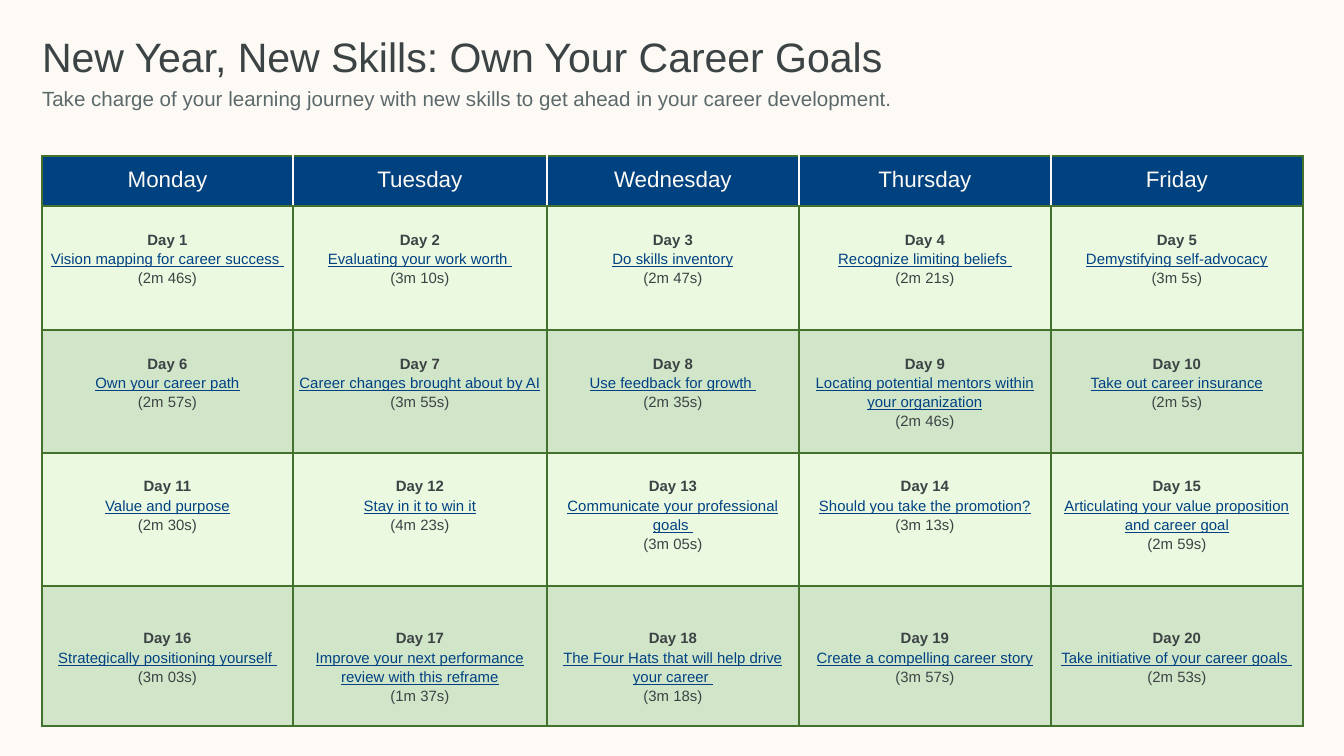
from lxml.etree import SubElement
from pptx import Presentation
from pptx.dml.color import RGBColor
from pptx.enum.text import MSO_ANCHOR, MSO_AUTO_SIZE, PP_ALIGN
from pptx.oxml.ns import qn
from pptx.util import Pt

PX = 914400 / 134.4  # EMU per pixel

THEME = {
    "font": "Arial",
    "paper": "FDFAF5", "ink": "3C4345", "muted": "5B696B",
    "header": "004180", "link": "004183", "border": "43712E",
    "bands": ["EBF9E0", "D1E6C9"],
    "title": 22, "subtitle": 11, "weekday": 12, "lesson": 8,
}

WEEKDAYS = ["Monday", "Tuesday", "Wednesday", "Thursday", "Friday"]
LESSONS = [
    ("Vision mapping for career success ", "2m 46s"),
    ("Evaluating your work worth ", "3m 10s"),
    ("Do skills inventory", "2m 47s"),
    ("Recognize limiting beliefs ", "2m 21s"),
    ("Demystifying self-advocacy", "3m 5s"),
    ("Own your career path", "2m 57s"),
    ("Career changes brought about by AI", "3m 55s"),
    ("Use feedback for growth ", "2m 35s"),
    ("Locating potential mentors within your organization", "2m 46s"),
    ("Take out career insurance", "2m 5s"),
    ("Value and purpose", "2m 30s"),
    ("Stay in it to win it", "4m 23s"),
    ("Communicate your professional goals ", "3m 05s"),
    ("Should you take the promotion?", "3m 13s"),
    ("Articulating your value proposition and career goal", "2m 59s"),
    ("Strategically positioning yourself ", "3m 03s"),
    ("Improve your next performance review with this reframe", "1m 37s"),
    ("The Four Hats that will help drive your career ", "3m 18s"),
    ("Create a compelling career story", "3m 57s"),
    ("Take initiative of your career goals ", "2m 53s"),
]
COL_WIDTHS = [251, 254, 252, 252, 252]
ROW_HEIGHTS = [50, 124, 123, 133, 140]


def write(tf, lines, align, spacing):
    """Write one paragraph per (text, size, colour, font flags)."""
    for i, (text, size, color, flags) in enumerate(lines):
        p = tf.paragraphs[0] if i == 0 else tf.add_paragraph()
        p.alignment, p.line_spacing = align, spacing
        r = p.add_run()
        r.text = text
        r.font.color.rgb = RGBColor.from_string(THEME[color])
        font = {"name": THEME["font"], "size": Pt(THEME[size]), "bold": False}
        for name, value in {**font, **flags}.items():
            setattr(r.font, name, value)


def style_cell(cell, fill, margins, borders):
    """Set the fill, the margins in px and the 1 pt border colours."""
    for side, px in zip(["left", "top", "right", "bottom"], margins):
        setattr(cell, f"margin_{side}", round(px * PX))
    tcPr = cell._tc.get_or_add_tcPr()
    for side, color in zip("LRTB", borders):
        ln = SubElement(tcPr, qn(f"a:ln{side}"), w=str(Pt(1)))
        SubElement(SubElement(ln, qn("a:solidFill")), qn("a:srgbClr"), val=THEME[color])
    cell.fill.solid()
    cell.fill.fore_color.rgb = RGBColor.from_string(fill)


# Slide
prs = Presentation()
prs.slide_width, prs.slide_height = round(1344 * PX), round(756 * PX)
s = prs.slides.add_slide(prs.slide_layouts[5])
s.background.fill.solid()
s.background.fill.fore_color.rgb = RGBColor.from_string(THEME["paper"])

# Title and subtitle
sp = s.shapes.title
for name, px in {"left": 42, "top": 30, "width": 1012, "height": 106}.items():
    setattr(sp, name, round(px * PX))
tf = sp.text_frame
frame = {"margin_left": 0, "margin_right": 0, "word_wrap": True,
         "auto_size": MSO_AUTO_SIZE.NONE, "vertical_anchor": MSO_ANCHOR.TOP}
for name, value in frame.items():
    setattr(tf, name, value)
write(tf, [
    ("New Year, New Skills: Own Your Career Goals", "title", "ink", {}),
    ("Take charge of your learning journey with new skills to get ahead "
     "in your career development.", "subtitle", "muted", {}),
], PP_ALIGN.LEFT, 0.9)
tf.paragraphs[1].space_before = Pt(4)

# Calendar grid
box = [round(px * PX) for px in (42, 156, sum(COL_WIDTHS), sum(ROW_HEIGHTS))]
table = s.shapes.add_table(len(ROW_HEIGHTS), len(COL_WIDTHS), *box).table
table.horz_banding = False
for col, px in zip(table.columns, COL_WIDTHS):
    col.width = round(px * PX)
for row, px in zip(table.rows, ROW_HEIGHTS):
    row.height = round(px * PX)

# Weekday header, with light rules between the days
last = len(WEEKDAYS) - 1
for i, weekday in enumerate(WEEKDAYS):
    cell = table.cell(0, i)
    left = "border" if i == 0 else "paper"
    right = "border" if i == last else "paper"
    style_cell(cell, THEME["header"], (8, 9, 8, 9), (left, right, "border", "border"))
    cell.vertical_anchor = MSO_ANCHOR.MIDDLE
    write(cell.text_frame, [(weekday, "weekday", "paper", {})], PP_ALIGN.CENTER, 0.9)

# Daily lessons; the last week starts lower in its row
for i, (lesson, duration) in enumerate(LESSONS):
    week, day = divmod(i, len(WEEKDAYS))
    cell = table.cell(week + 1, day)
    top = 42 if week == 3 else 23
    style_cell(cell, THEME["bands"][week % 2], (5, top, 5, 3), ["border"] * 4)
    write(cell.text_frame, [
        (f"Day {i + 1}", "lesson", "ink", {"bold": True}),
        (lesson, "lesson", "link", {"underline": True}),
        (f"({duration})", "lesson", "ink", {}),
    ], PP_ALIGN.CENTER, 1.15)

prs.save("out.pptx")
